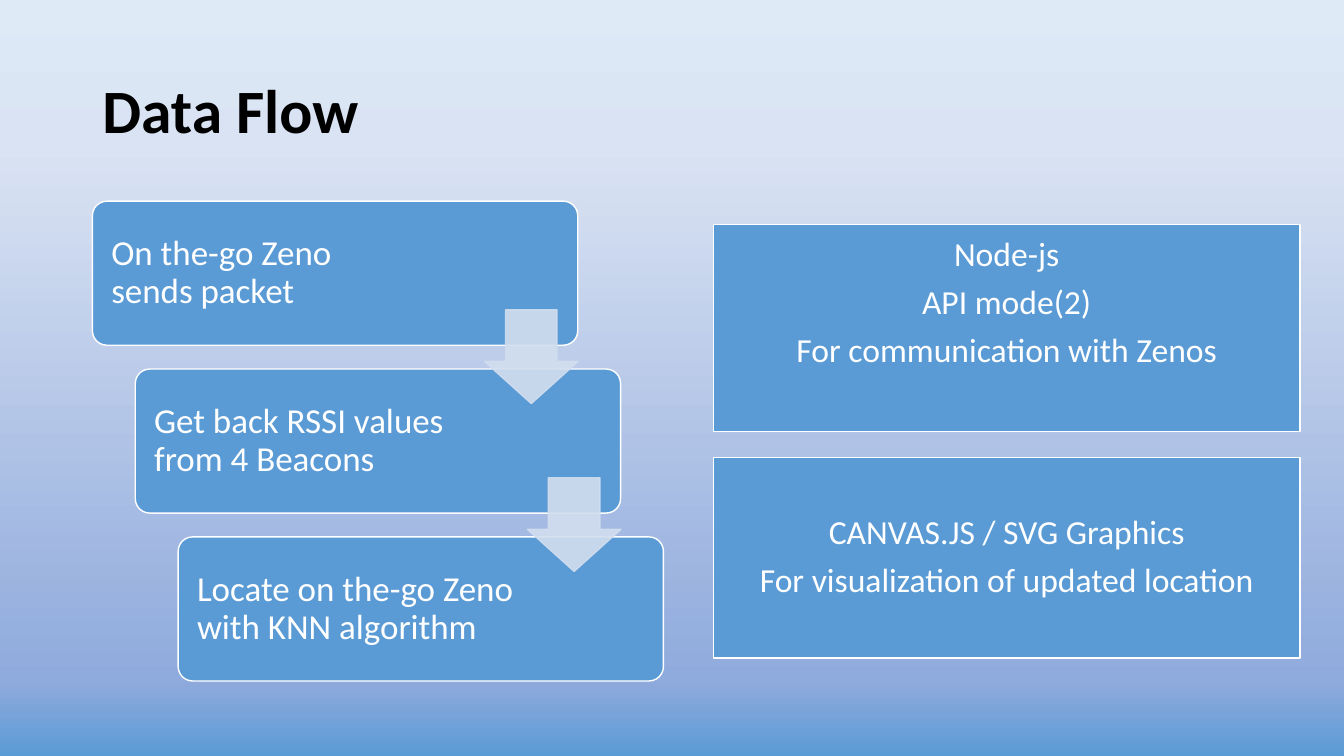
"""Builds the Data Flow slide: a staircase of steps beside two technology panels."""
from dataclasses import dataclass

from lxml.etree import SubElement
from pptx import Presentation
from pptx.dml.color import RGBColor
from pptx.enum.shapes import MSO_SHAPE
from pptx.enum.text import MSO_ANCHOR, PP_ALIGN
from pptx.oxml.ns import qn
from pptx.shapes.autoshape import Shape
from pptx.slide import Slide
from pptx.util import Cm, Pt


@dataclass(frozen=True)
class Theme:
    """Colours, font and type sizes of the slide."""
    font: str = "Calibri"
    ink: str = "000000"
    white: str = "FFFFFF"
    block: str = "5B9BD5"
    arrow: str = "D2DEEF"
    sky: tuple = ((0, "DEEBF7"), (19, "DAE3F3"), (90, "8FAADC"), (100, "5B9BD5"))
    title_size: float = 44
    step_size: float = 25
    panel_size: float = 24
    line_width: float = 1
    arrow_opacity: int = 90


@dataclass(frozen=True)
class Box:
    """Position and size in centimetres."""
    left: float
    top: float
    width: float
    height: float

    def moved(self, across: float, down: float) -> "Box":
        """Return the same box at another place."""
        return Box(self.left + across, self.top + down, self.width, self.height)

    def lengths(self) -> tuple:
        """Return left, top, width and height as lengths."""
        return tuple(Cm(n) for n in (self.left, self.top, self.width, self.height))


@dataclass(frozen=True)
class Step:
    """One stage of the flow and the space kept free right of its text."""
    text: str
    right_inset: float


@dataclass(frozen=True)
class Panel:
    """A technology panel with its lines of text."""
    box: Box
    lines: tuple
    bottom_inset: float


THEME = Theme()
TITLE_BOX = Box(2.33, 1.02, 29.21, 3.68)
FIRST_STEP = Box(2.33, 5.07, 12.23, 3.63)
FIRST_ARROW = Box(12.21, 7.81, 2.36, 2.36)
STEP_ACROSS, STEP_DOWN = 1.08, 4.23
STEPS = (
    Step("On the-go Zeno sends packet", 4.3),
    Step("Get back RSSI values from 4 Beacons", 3.6),
    Step("Locate on the-go Zeno with KNN algorithm", 3.6),
)
PANELS = (
    Panel(Box(17.98, 5.66, 14.78, 5.21),
          ("Node-js", "API mode(2)", "For communication with Zenos"), 1.4),
    Panel(Box(17.98, 11.53, 14.78, 5.05),
          ("CANVAS.JS / SVG Graphics", "For visualization of updated location"), 0.18),
)


def apply(target: object, values: dict) -> None:
    """Set each named attribute of the target."""
    for name, value in values.items():
        setattr(target, name, value)


def paint_sky(slide: Slide) -> None:
    """Fill the background with the vertical gradient."""
    fill = slide.background.fill
    fill.gradient()
    fill.gradient_angle = 270
    stops = slide.background._cSld.find(".//" + qn("a:gsLst"))
    for stop in list(stops):
        stops.remove(stop)
    for percent, color in THEME.sky:
        stop = SubElement(stops, qn("a:gs"), pos=str(percent * 1000))
        SubElement(stop, qn("a:srgbClr"), val=color)


def add_block(slide: Slide, kind: MSO_SHAPE, box: Box, fill: str, line: str,
              adjustments: tuple = ()) -> Shape:
    """Draw a filled, outlined preset shape."""
    block = slide.shapes.add_shape(kind, *box.lengths())
    block.shadow.inherit = False
    block.fill.solid()
    block.fill.fore_color.rgb = RGBColor.from_string(fill)
    block.line.color.rgb = RGBColor.from_string(line)
    block.line.width = Pt(THEME.line_width)
    for index, value in enumerate(adjustments):
        block.adjustments[index] = value
    return block


def write(holder: Shape, lines: tuple, size: float, color: str, insets: tuple,
          align: PP_ALIGN = PP_ALIGN.LEFT, bold: bool = False) -> None:
    """Write paragraphs, with insets given as left, top, right and bottom."""
    frame = holder.text_frame
    left, top, right, bottom = (Cm(inset) for inset in insets)
    apply(frame, {"text": "\n".join(lines), "word_wrap": True,
                  "vertical_anchor": MSO_ANCHOR.MIDDLE,
                  "margin_left": left, "margin_top": top,
                  "margin_right": right, "margin_bottom": bottom})
    for paragraph in frame.paragraphs:
        apply(paragraph, {"alignment": align, "line_spacing": 0.9,
                          "space_after": Pt(size * 0.35)})
        for run in paragraph.runs:
            apply(run.font, {"name": THEME.font, "size": Pt(size), "bold": bold})
            run.font.color.rgb = RGBColor.from_string(color)


def add_step(slide: Slide, index: int, step: Step) -> None:
    """Draw one stair of the flow."""
    box = FIRST_STEP.moved(index * STEP_ACROSS, index * STEP_DOWN)
    stair = add_block(slide, MSO_SHAPE.ROUNDED_RECTANGLE, box,
                      THEME.block, THEME.white, (0.1,))
    write(stair, (step.text,), THEME.step_size, THEME.white,
          (0.37, 0.37, step.right_inset, 0.37))


def add_arrow(slide: Slide, index: int) -> None:
    """Draw the translucent arrow leading to the next stair."""
    box = FIRST_ARROW.moved(index * STEP_ACROSS, index * STEP_DOWN)
    arrow = add_block(slide, MSO_SHAPE.DOWN_ARROW, box,
                      THEME.arrow, THEME.arrow, (0.55, 0.45))
    for color in arrow._element.spPr.iter(qn("a:srgbClr")):
        SubElement(color, qn("a:alpha"), val=str(THEME.arrow_opacity * 1000))


def add_panel(slide: Slide, panel: Panel) -> None:
    """Draw one technology panel."""
    area = add_block(slide, MSO_SHAPE.RECTANGLE, panel.box, THEME.block, THEME.white)
    write(area, panel.lines, THEME.panel_size, THEME.white,
          (0.18, 0.18, 0.18, panel.bottom_inset), PP_ALIGN.CENTER)


def main() -> None:
    """Build and save the slide."""
    deck = Presentation()
    apply(deck, {"slide_width": Cm(33.87), "slide_height": Cm(19.05)})
    slide = deck.slides.add_slide(deck.slide_layouts[6])
    paint_sky(slide)
    title = slide.shapes.add_textbox(*TITLE_BOX.lengths())
    write(title, ("Data Flow",), THEME.title_size, THEME.ink,
          (0.25, 0.13, 0.25, 0.13), bold=True)
    for index, step in enumerate(STEPS):
        add_step(slide, index, step)
    for index in range(len(STEPS) - 1):
        add_arrow(slide, index)
    for panel in PANELS:
        add_panel(slide, panel)
    deck.save("out.pptx")


main()
